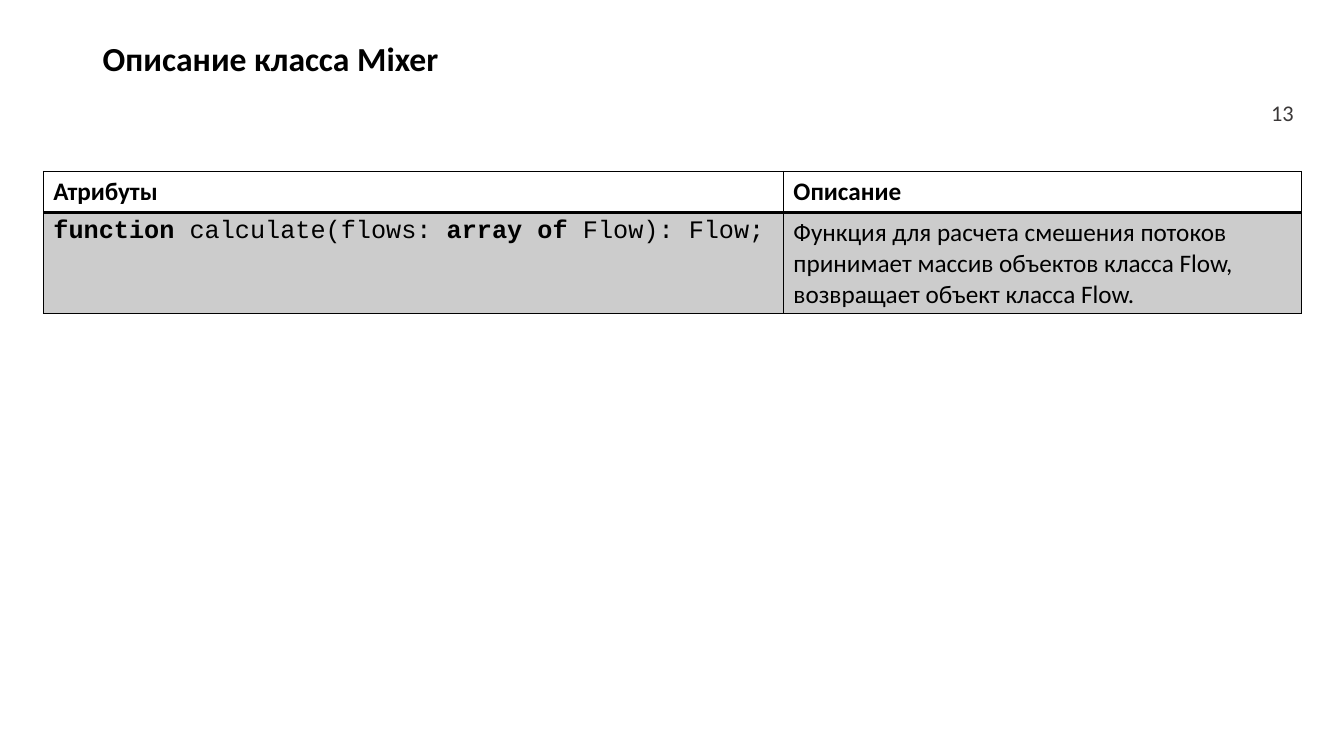
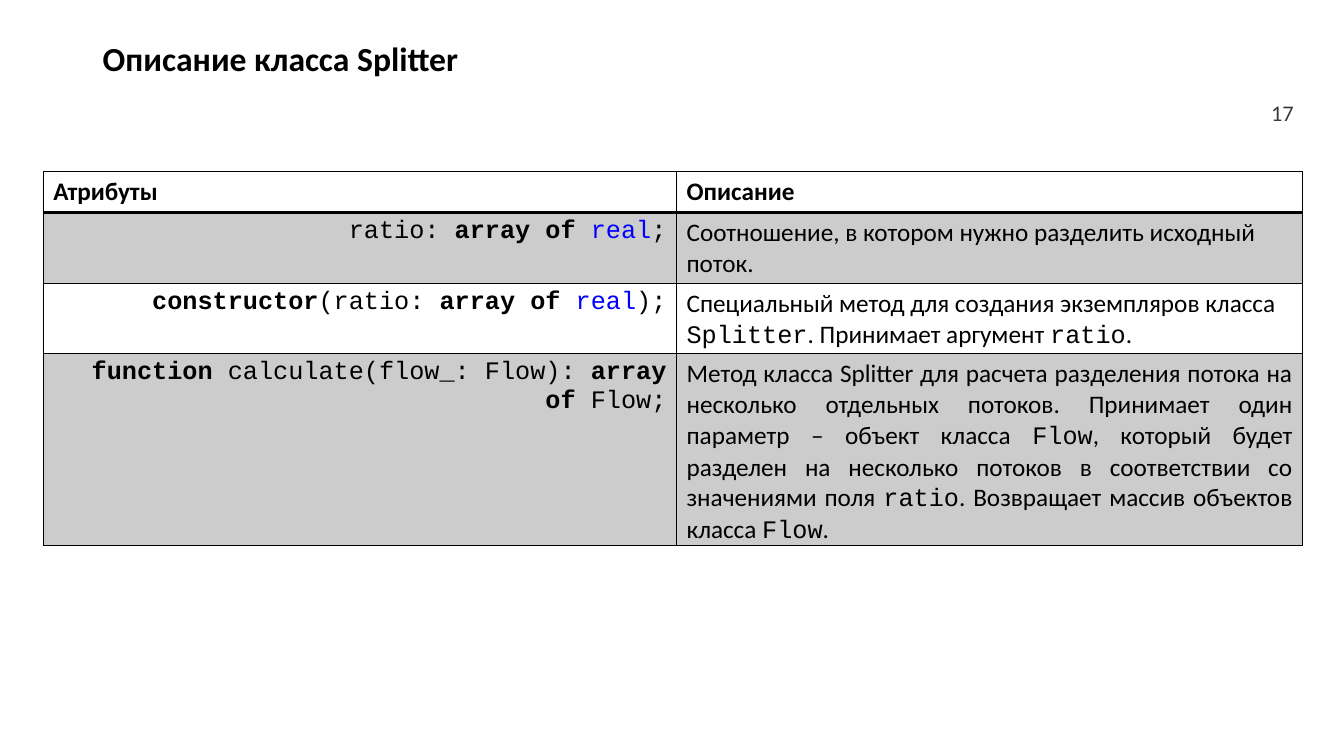
import pptx
import pptx.dml.color
import pptx.enum.text
import pptx.oxml
import pptx.oxml.ns
import pptx.util

Inches = pptx.util.Inches
Align = pptx.enum.text.PP_ALIGN

COLORS = {"text": "000000", "number": "3B3838", "type": "0000FF",
          "band": "CCCCCC", "plain": "FFFFFF", "border": "000000"}

# style name: font, bold, colour
STYLES = {
    "text": ("Calibri", False, "text"),
    "strong": ("Calibri", True, "text"),
    "number": ("Calibri", False, "number"),
    "code": ("Courier New", False, "text"),
    "keyword": ("Courier New", True, "text"),
    "type": ("Courier New", False, "type"),
}

SLIDE_WIDTH, SLIDE_HEIGHT = 13.33, 7.5
TITLE_BOX = (0.92, 0.17, 10.78, 0.87)
NUMBER_BOX = (12.42, 0.92, 0.51, 0.4)
TABLE_LEFT, TABLE_TOP, HEADER_HEIGHT = 0.43, 1.7, 0.41
HEADER = [(Align.LEFT, [("Атрибуты", "strong")]),
          (Align.LEFT, [("Описание", "strong")])]

# each row: its height, then one (alignment, runs) pair per column
PAGES = [
    {
        "title": "Описание класса Mixer",
        "number": "13",
        "columns": (7.34, 5.14),
        "rows": [
            (1.0, [
                (Align.LEFT, [("function ", "keyword"), ("calculate(flows: ", "code"),
                              ("array of ", "keyword"), ("Flow): Flow;", "code")]),
                (Align.LEFT, [("Функция для расчета смешения потоков принимает массив "
                               "объектов класса Flow, возвращает объект класса Flow.", "text")]),
            ]),
        ],
    },
    {
        "title": "Описание класса Splitter",
        "number": "17",
        "columns": (6.28, 6.21),
        "rows": [
            (0.7, [
                (Align.RIGHT, [("ratio: ", "code"), ("array of ", "keyword"),
                               ("real", "type"), (";", "code")]),
                (Align.LEFT, [("Соотношение, в котором нужно разделить исходный поток.", "text")]),
            ]),
            (0.7, [
                (Align.RIGHT, [("constructor", "keyword"), ("(ratio: ", "code"),
                               ("array of ", "keyword"), ("real", "type"), (");", "code")]),
                (Align.LEFT, [("Специальный метод для создания экземпляров класса ", "text"),
                              ("Splitter", "code"), (". Принимает аргумент ", "text"),
                              ("ratio", "code"), (".", "text")]),
            ]),
            (1.9, [
                (Align.RIGHT, [("function ", "keyword"), ("calculate(flow_: Flow): ", "code"),
                               ("array of ", "keyword"), ("Flow;", "code")]),
                (Align.JUSTIFY, [("Метод класса Splitter для расчета разделения потока на "
                                  "несколько отдельных потоков. Принимает один параметр – "
                                  "объект класса ", "text"),
                                 ("Flow", "code"),
                                 (", который будет разделен на несколько потоков в "
                                  "соответствии со значениями поля ", "text"),
                                 ("ratio", "code"),
                                 (". Возвращает массив объектов класса ", "text"),
                                 ("Flow", "code"), (".", "text")]),
            ]),
        ],
    },
]


def rgb(name):
    return pptx.dml.color.RGBColor.from_string(COLORS[name])


def write(frame, runs, size, align=Align.LEFT):
    para = frame.paragraphs[0]
    para.alignment = align
    for text, style in runs:
        family, bold, color = STYLES[style]
        span = para.add_run()
        span.text = text
        span.font.name = family
        span.font.size = pptx.util.Pt(size)
        span.font.bold = bold
        span.font.color.rgb = rgb(color)
    return para


def add_text(page, place, runs, size, align=Align.LEFT):
    box = page.shapes.add_textbox(*map(Inches, place))
    box.text_frame.word_wrap = True
    box.text_frame.vertical_anchor = pptx.enum.text.MSO_ANCHOR.MIDDLE
    return write(box.text_frame, runs, size, align)


def set_borders(cell, top, bottom):
    """Draw all four edges; top and bottom are widths in points."""
    properties = cell._tc.get_or_add_tcPr()
    edges = (("lnL", 1), ("lnR", 1), ("lnT", top), ("lnB", bottom))
    for position, (tag, width) in enumerate(edges):
        properties.insert(position, pptx.oxml.parse_xml(
            f'<a:{tag} {pptx.oxml.ns.nsdecls("a")} w="{pptx.util.Pt(width)}">'
            f'<a:solidFill><a:srgbClr val="{COLORS["border"]}"/></a:solidFill></a:{tag}>'))


def add_class_table(page, columns, body):
    rows = [(HEADER_HEIGHT, HEADER), *body]
    height = sum(row_height for row_height, _ in rows)
    table = page.shapes.add_table(
        len(rows), len(columns), Inches(TABLE_LEFT), Inches(TABLE_TOP),
        Inches(sum(columns)), Inches(height)).table
    table.horz_banding = False
    for column, width in zip(table.columns, columns):
        column.width = Inches(width)
    for index, (row_height, contents) in enumerate(rows):
        table.rows[index].height = Inches(row_height)
        for cell, (align, runs) in zip(table.rows[index].cells, contents):
            cell.fill.solid()
            cell.fill.fore_color.rgb = rgb("band" if index % 2 else "plain")
            set_borders(cell, 2 if index == 1 else 1, 2 if index == 0 else 1)
            write(cell.text_frame, runs, 18, align)


def main():
    deck = pptx.Presentation()
    deck.slide_width, deck.slide_height = Inches(SLIDE_WIDTH), Inches(SLIDE_HEIGHT)
    for content in PAGES:
        page = deck.slides.add_slide(deck.slide_layouts[6])
        add_text(page, NUMBER_BOX, [(content["number"], "number")], 16, Align.RIGHT)
        title = add_text(page, TITLE_BOX, [(content["title"], "strong")], 24)
        title.line_spacing = 0.9
        add_class_table(page, content["columns"], content["rows"])
    deck.save("out.pptx")


if __name__ == "__main__":
    main()
